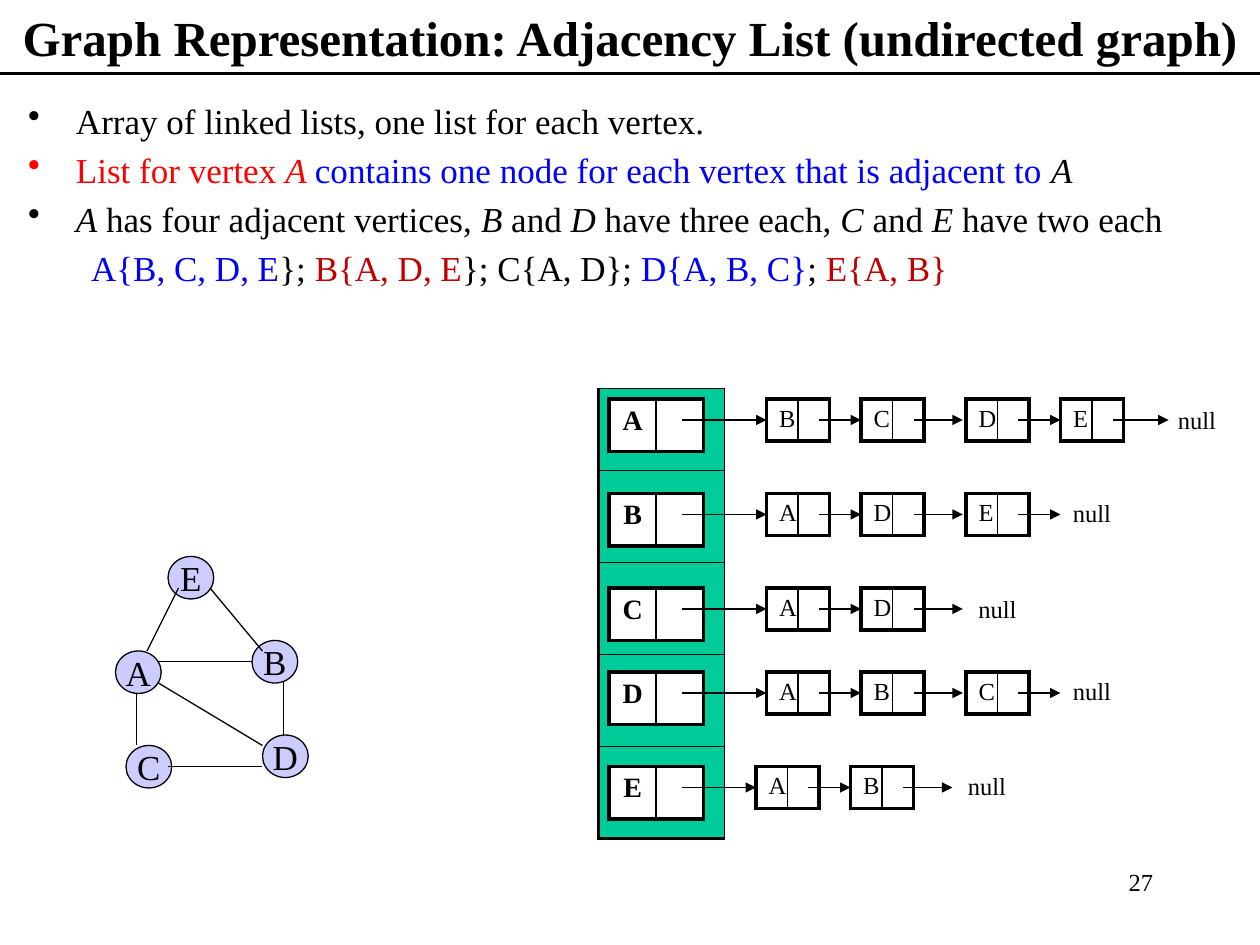
import dataclasses

import pptx
import pptx.dml.color
import pptx.enum.shapes
import pptx.enum.text
import pptx.oxml
import pptx.oxml.ns
import pptx.util

Align = pptx.enum.text.PP_ALIGN
Anchor = pptx.enum.text.MSO_ANCHOR
UNIT = 1 / 12  # the page is a grid of 120 columns by 90 rows


@dataclasses.dataclass(frozen=True)
class Theme:
    font: str = "Times New Roman"
    black: str = "000000"
    white: str = "FFFFFF"
    red: str = "FF0000"
    dark_red: str = "C00000"
    blue: str = "0000FF"
    green: str = "00CC99"
    lilac: str = "CCCCFF"
    title: int = 28
    body: int = 20
    head: int = 16
    node: int = 14
    thin: float = 0.75
    inner: float = 1
    thick: float = 2.25


THEME = Theme()

# Each bullet is a list of (text, colour, italic) spans.
BULLETS = [
    [("Array of linked lists, one list for each vertex.", THEME.black, False)],
    [("List for vertex ", THEME.red, False), ("A ", THEME.red, True),
     ("contains one node for each vertex that is adjacent to ", THEME.blue, False),
     ("A", THEME.black, True)],
    [("A", THEME.black, True), (" has four adjacent vertices, ", THEME.black, False),
     ("B", THEME.black, True), (" and ", THEME.black, False),
     ("D", THEME.black, True), (" have three each, ", THEME.black, False),
     ("C", THEME.black, True), (" and ", THEME.black, False),
     ("E ", THEME.black, True), ("have two each", THEME.black, False)],
]
SUMMARY = [
    ("A{B, C, D, E", THEME.blue, False), ("}; ", THEME.black, False),
    ("B{A, D, E", THEME.dark_red, False), ("}; C{A, D}; ", THEME.black, False),
    ("D{A, B, C}", THEME.blue, False), ("; ", THEME.black, False),
    ("E{A, B}", THEME.dark_red, False),
]
VERTICES = {"A": (11, 62), "C": (12, 71), "D": (25, 70), "E": (16, 53), "B": (24, 61)}
EDGES = [(15, 63, 24, 63), (25, 73, 16, 73), (25, 71, 15, 65), (27, 65, 27, 70),
         (13, 66, 13, 71), (14, 62, 17, 56), (20, 56, 25, 62)]
# vertex, row, row of "null", shift of the list in columns, neighbours
LISTS = [("A", 38, 38, 0, "BCDE"), ("B", 47, 46.8, 0, "ADE"), ("C", 56, 56, 0, "AD"),
         ("D", 64, 63.8, 0, "ABC"), ("E", 73, 72.8, -1, "AB")]
SLOTS = [73, 82, 92, 101, 111]
ARROW_ENDS = [73, 82, 91.7, 101, 111.3]


def grid(*units):
    return [pptx.util.Inches(unit * UNIT) for unit in units]


def rgb(colour):
    return pptx.dml.color.RGBColor.from_string(colour)


def element(tag, attributes="", content=""):
    """Make one DrawingML element."""
    return pptx.oxml.parse_xml(
        f'<a:{tag} {pptx.oxml.ns.nsdecls("a")} {attributes}>{content}</a:{tag}>')


def add_span(para, text, size, colour=THEME.black, bold=False, italic=False):
    span = para.add_run()
    span.text = text
    span.font.name = THEME.font
    span.font.size = pptx.util.Pt(size)
    span.font.color.rgb = rgb(colour)
    span.font.bold = bold
    span.font.italic = italic


def add_label(page, text, area, size, align=Align.LEFT, anchor=Anchor.TOP, bold=False):
    frame = page.shapes.add_textbox(*grid(*area)).text_frame
    frame.word_wrap = True
    frame.vertical_anchor = anchor
    frame.paragraphs[0].alignment = align
    add_span(frame.paragraphs[0], text, size, bold=bold)


def indent(para, left, first):
    """Set the left margin and first-line indent, in inches."""
    props = para._p.get_or_add_pPr()
    props.set("marL", str(pptx.util.Inches(left)))
    props.set("indent", str(pptx.util.Inches(first)))


def add_bullet(para):
    props = para._p.get_or_add_pPr()
    props.append(element("buFontTx"))
    props.append(element("buChar", 'char="•"'))


def add_body(page):
    frame = page.shapes.add_textbox(*grid(1.5, 8.9, 113, 30)).text_frame
    frame.word_wrap = True
    for number, spans in enumerate(BULLETS + [SUMMARY]):
        para = frame.paragraphs[0] if number == 0 else frame.add_paragraph()
        para.space_before = pptx.util.Pt(4)
        if spans is SUMMARY:
            indent(para, 0.81, -0.31)
        else:
            indent(para, 0.38, -0.38)
            add_bullet(para)
        for text, colour, italic in spans:
            add_span(para, text, THEME.body, colour, italic=italic)


def add_line(page, start_x, start_y, end_x, end_y, width=THEME.thin, arrow=False):
    line = page.shapes.add_connector(
        pptx.enum.shapes.MSO_CONNECTOR.STRAIGHT, *grid(start_x, start_y, end_x, end_y))
    line.line.color.rgb = rgb(THEME.black)
    line.line.width = pptx.util.Pt(width)
    if arrow:
        line.line._get_or_add_ln().append(element("tailEnd", 'type="triangle"'))
    line._element.spPr.append(element("effectLst"))


def add_vertex(page, name, column, row):
    vertex = page.shapes.add_shape(
        pptx.enum.shapes.MSO_SHAPE.OVAL, *grid(column, row, 4.35, 4.05))
    vertex.shadow.inherit = False
    vertex.fill.solid()
    vertex.fill.fore_color.rgb = rgb(THEME.lilac)
    vertex.line.color.rgb = rgb(THEME.black)
    vertex.line.width = pptx.util.Pt(THEME.thin)
    frame = vertex.text_frame
    frame.word_wrap = False
    frame.vertical_anchor = Anchor.MIDDLE
    frame.paragraphs[0].alignment = Align.CENTER
    add_span(frame.paragraphs[0], name, THEME.body)


def style_cell(cell, fill, left, right, top, bottom):
    """Set the fill, and the border widths in points."""
    props = cell._tc.get_or_add_tcPr()
    colour = f'<a:solidFill><a:srgbClr val="{THEME.black}"/></a:solidFill>'
    for side, width in zip("LRTB", (left, right, top, bottom)):
        props.append(element(f"ln{side}", f'w="{pptx.util.Pt(width)}"', colour))
    cell.fill.solid()
    cell.fill.fore_color.rgb = rgb(fill)


def add_plain_table(page, rows, columns, area):
    table = page.shapes.add_table(rows, columns, *grid(*area)).table
    table.first_row = table.horz_banding = False
    return table


def add_array(page):
    heights = [7.8] + [8.77] * 4
    table = add_plain_table(page, len(heights), 1, (57, 37, 12, sum(heights)))
    for number, height in enumerate(heights):
        table.rows[number].height = grid(height)[0]
        last = number == len(heights) - 1
        style_cell(table.cell(number, 0), THEME.green, THEME.thick, THEME.inner,
                   THEME.inner, THEME.thick if last else THEME.inner)


def add_node(page, name, area, size, bold=False):
    """Draw a name cell, and a pointer cell that holds only a bullet."""
    table = add_plain_table(page, 1, 2, area)
    name_cell, pointer_cell = table.cell(0, 0), table.cell(0, 1)
    name_para = name_cell.text_frame.paragraphs[0]
    pointer_para = pointer_cell.text_frame.paragraphs[0]
    name_para.alignment = pointer_para.alignment = Align.CENTER
    add_span(name_para, name, size, bold=bold)
    indent(pointer_para, 0, 0)
    add_bullet(pointer_para)
    pointer_para._p.append(element(
        "endParaRPr", f'sz="{size * 100}" b="{int(bold)}"',
        f'<a:solidFill><a:srgbClr val="{THEME.black}"/></a:solidFill>'
        f'<a:latin typeface="{THEME.font}"/>'))
    style_cell(name_cell, THEME.white, THEME.thick, THEME.inner, THEME.thick, THEME.thick)
    style_cell(pointer_cell, THEME.white, THEME.inner, THEME.thick, THEME.thick, THEME.thick)


def add_list(page, vertex, row, null_row, shift, neighbours):
    slots = [slot + shift for slot in SLOTS]
    add_node(page, vertex, (58, row, 9, 5), THEME.head, bold=True)
    for slot, name in zip(slots, neighbours):
        add_node(page, name, (slot, row, 6, 4), THEME.node)
    starts = [65] + [slot + 5 for slot in slots[:len(neighbours)]]
    for start, end in zip(starts, ARROW_ENDS):
        add_line(page, start, row + 2, end + shift, row + 2, arrow=True)
    add_label(page, "null", (slots[len(neighbours)], null_row, 8, 4), THEME.node)


def main():
    deck = pptx.Presentation()
    deck.slide_width, deck.slide_height = grid(120, 90)
    page = deck.slides.add_slide(deck.slide_layouts[6])
    add_label(page, "27", (86, 82, 25, 6), THEME.node, Align.RIGHT)
    add_label(page, "Graph Representation: Adjacency List (undirected graph)",
              (0, 0, 120, 7), THEME.title, Align.CENTER, Anchor.MIDDLE, bold=True)
    add_line(page, 0, 7, 120, 7, THEME.thick)
    add_body(page)
    for name, (column, row) in VERTICES.items():
        add_vertex(page, name, column, row)
    for edge in EDGES:
        add_line(page, *edge)
    add_array(page)
    for entry in LISTS:
        add_list(page, *entry)
    deck.save("out.pptx")


if __name__ == "__main__":
    main()
